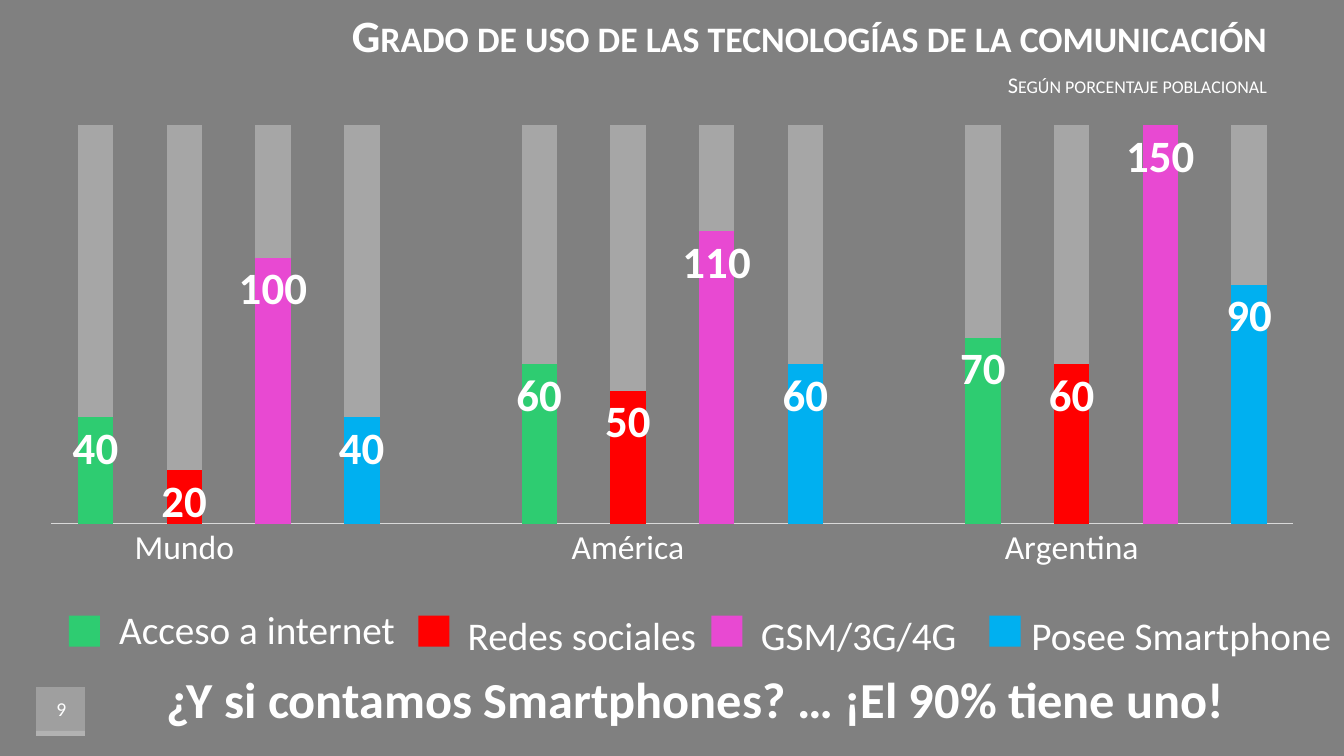
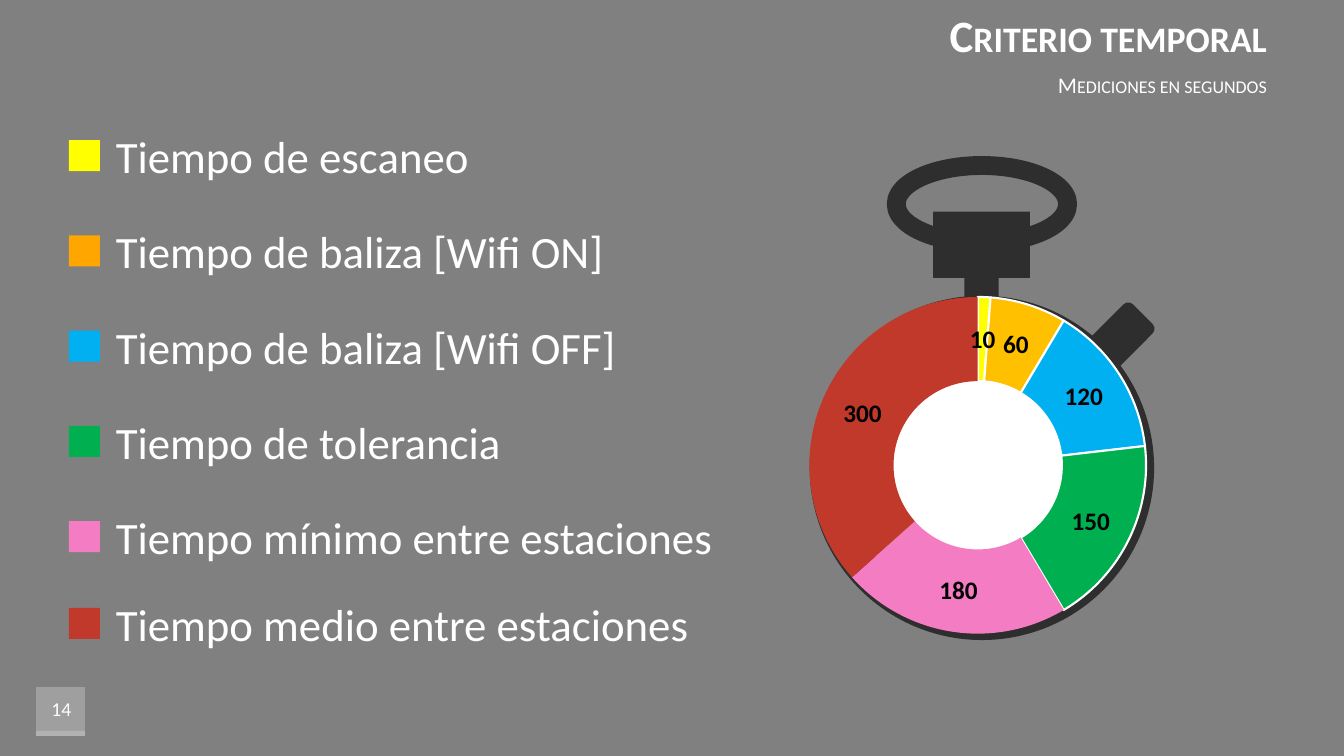
from dataclasses import dataclass

from lxml.etree import SubElement
from pptx import Presentation
from pptx.chart.data import CategoryChartData
from pptx.dml.color import RGBColor
from pptx.enum.chart import XL_CHART_TYPE, XL_LABEL_POSITION, XL_TICK_MARK
from pptx.enum.shapes import MSO_SHAPE
from pptx.enum.text import MSO_ANCHOR, PP_ALIGN
from pptx.oxml import parse_xml
from pptx.oxml.ns import nsdecls, qn
from pptx.util import Inches, Pt

# The grid has square cells: 160 columns by 90 rows
CELLS_PER_INCH = 12
COLUMNS, ROWS = 160, 90


@dataclass(frozen=True)
class Theme:
    font: str = "Calibri"
    background: str = "808080"
    light: str = "FFFFFF"
    black: str = "000000"
    watch: str = "2E2E2E"
    axis: str = "D9D9D9"
    remainder: str = "A6A6A6"
    emerald: str = "2ECC71"
    red: str = "FF0000"
    magenta: str = "E849D2"
    blue: str = "00B0F0"
    yellow: str = "FFFF00"
    amber: str = "FFC000"
    orange: str = "FFA600"
    green: str = "00B050"
    pink: str = "F47CC3"
    brick: str = "C0392B"
    title_size: int = 32
    subtitle_size: int = 16
    number_size: int = 14
    closing_size: int = 36
    large_size: int = 32
    legend_size: int = 28
    axis_size: int = 24
    ring_label_size: int = 18


def cells(count):
    return Inches(count / CELLS_PER_INCH)


def color(value):
    return RGBColor.from_string(value)


class Deck:
    def __init__(self, theme):
        self.theme = theme
        self.presentation = Presentation()
        self.presentation.slide_width = cells(COLUMNS)
        self.presentation.slide_height = cells(ROWS)
        self.slide = None

    def add_slide(self, title, subtitle, number):
        """Start a slide with the shared heading and number badge."""
        theme = self.theme
        self.slide = self.presentation.slides.add_slide(self.presentation.slide_layouts[6])
        fill = self.slide.background.fill
        fill.solid()
        fill.fore_color.rgb = color(theme.background)
        self.shape(4.3, 81.8, 5.8, 5.8, theme.light, opacity=25)
        self.shape(4.3, 87, 5.8, 0.6, theme.light, opacity=20)
        heading = {"align": PP_ALIGN.RIGHT, "anchor": MSO_ANCHOR.MIDDLE, "small_caps": True}
        self.text(title, 27.1, 0, 124.9, 8.2, size=theme.title_size, bold=True, **heading)
        self.text(subtitle, 27.1, 8.2, 124.9, 3.7, size=theme.subtitle_size, **heading)
        self.text(number, 3.5, 81.8, 7.6, 5.2, size=theme.number_size,
                  align=PP_ALIGN.CENTER, anchor=MSO_ANCHOR.MIDDLE)

    def text(self, content, left, top, width, height, *, size, bold=False,
             small_caps=False, align=PP_ALIGN.LEFT, anchor=MSO_ANCHOR.TOP, wrap=True):
        box = self.slide.shapes.add_textbox(cells(left), cells(top), cells(width), cells(height))
        frame = box.text_frame
        frame.word_wrap = wrap
        frame.vertical_anchor = anchor
        paragraph = frame.paragraphs[0]
        paragraph.alignment = align
        run = paragraph.add_run()
        run.text = content
        self.style_font(run.font, size, self.theme.light, bold)
        if small_caps:
            run._r.get_or_add_rPr().set("cap", "small")

    def style_font(self, font, size, font_color, bold=False):
        font.name = self.theme.font
        font.size = Pt(size)
        font.bold = bold
        font.color.rgb = color(font_color)

    def paint(self, shape, fill=None, line=None, line_width=1):
        shape.shadow.inherit = False
        if fill:
            shape.fill.solid()
            shape.fill.fore_color.rgb = color(fill)
        else:
            shape.fill.background()
        if line:
            shape.line.color.rgb = color(line)
            shape.line.width = Pt(line_width)
        else:
            shape.line.fill.background()

    def shape(self, left, top, width, height, fill=None, *, preset=MSO_SHAPE.RECTANGLE,
              line=None, line_width=1, rotation=0, opacity=100):
        shape = self.slide.shapes.add_shape(
            preset, cells(left), cells(top), cells(width), cells(height))
        self.paint(shape, fill, line, line_width)
        shape.rotation = rotation
        if opacity < 100:
            fill_color = shape._element.spPr.find(qn("a:solidFill"))[0]
            SubElement(fill_color, qn("a:alpha")).set("val", str(opacity * 1000))

    def outline(self, points, fill):
        (start_x, start_y), *others = [(cells(x), cells(y)) for x, y in points]
        builder = self.slide.shapes.build_freeform(start_x, start_y)
        builder.add_line_segments(others, close=True)
        self.paint(builder.convert_to_shape(), fill)

    def legend_entry(self, label, left, top, fill, *, size, gap, drop=0.0):
        """Place a square and a label centred on its height."""
        side, height = 3.7, 7.7
        self.shape(left, top, side, side, fill)
        self.text(label, left + gap, top + (side - height) / 2 + drop, 75, height,
                  size=size, anchor=MSO_ANCHOR.MIDDLE, wrap=False)

    def chart(self, kind, categories, series, left, top, width, height):
        data = CategoryChartData()
        data.categories = categories
        for name, values in series.items():
            data.add_series(name, values)
        chart = self.slide.shapes.add_chart(
            kind, cells(left), cells(top), cells(width), cells(height), data).chart
        chart.has_title = False
        chart.has_legend = False
        self.style_font(chart.font, 10, self.theme.black)
        return chart

    def value_labels(self, series, size, font_color):
        labels = series.data_labels
        labels.show_value = True
        self.style_font(labels.font, size, font_color, bold=True)
        return labels

    def point_fill(self, series, index, fill):
        point_format = series.points[index].format
        point_format.fill.solid()
        point_format.fill.fore_color.rgb = color(fill)
        return point_format

    def usage_columns(self, groups, fills, full, *box):
        """Draw groups of columns, each filled up to a shared full value."""
        theme = self.theme
        categories, used = [], []
        for name, values in groups.items():
            if used:
                categories.append("")
                used.append(None)
            categories += ["", name, "", ""]
            used += values
        rest = [None if value is None else full - value for value in used]
        chart = self.chart(XL_CHART_TYPE.COLUMN_STACKED_100, categories,
                           {"Series 1": used, "Series 2": rest}, *box)

        plot = chart.plots[0]
        plot.gap_width, plot.overlap = 150, 100
        plot.vary_by_categories = False
        for series, fill in zip(plot.series, (fills[0], theme.remainder)):
            series.format.fill.solid()
            series.format.fill.fore_color.rgb = color(fill)
        used_series = plot.series[0]
        for index, value in enumerate(used):
            if value is not None:
                self.point_fill(used_series, index, fills[index % (len(fills) + 1)])
        labels = self.value_labels(used_series, theme.large_size, theme.light)
        labels.position = XL_LABEL_POSITION.INSIDE_END

        # Axes
        chart.value_axis.has_major_gridlines = False
        chart.value_axis.visible = False
        axis = chart.category_axis
        axis.major_tick_mark = XL_TICK_MARK.NONE
        axis.format.line.color.rgb = color(theme.axis)
        axis.format.line.width = Pt(0.75)
        self.style_font(axis.tick_labels.font, theme.axis_size, theme.light)

        # Fixed inner plot area
        plot_area = chart._chartSpace.chart.plotArea
        for layout in plot_area.findall(qn("c:layout")):
            plot_area.remove(layout)
        places = {"x": 0.017, "y": 0.096, "w": 0.966, "h": 0.784}
        modes = "".join(f'<c:{key}Mode val="edge"/>' for key in "xy")
        sizes = "".join(f'<c:{key} val="{value}"/>' for key, value in places.items())
        plot_area.insert(0, parse_xml(
            f'<c:layout {nsdecls("c")}><c:manualLayout><c:layoutTarget val="inner"/>'
            f"{modes}{sizes}</c:manualLayout></c:layout>"))

    def time_ring(self, values, fills, outlined, *box):
        """Draw a doughnut whose first slices have a light outline."""
        theme = self.theme
        categories = [str(index + 1) for index in range(len(values))]
        chart = self.chart(XL_CHART_TYPE.DOUGHNUT, categories, {"Series 1": values}, *box)
        plot = chart.plots[0]
        plot.vary_by_categories = True
        series = plot.series[0]
        for index, fill in enumerate(fills):
            line = self.point_fill(series, index, fill).line
            if index < outlined:
                line.color.rgb = color(theme.light)
                line.width = Pt(1.5)
            else:
                line.fill.background()
        self.value_labels(series, theme.ring_label_size, theme.black)
        plot._element.find(qn("c:holeSize")).set("val", "54")

    def stopwatch(self):
        dark = self.theme.watch
        self.shape(96.4, 35.2, 41, 41, dark, preset=MSO_SHAPE.OVAL)
        self.shape(100.3, 39.1, 33, 33, self.theme.light, preset=MSO_SHAPE.OVAL)
        self.outline([(111.1, 25.2), (122.6, 25.2), (122.6, 33.1), (118.9, 33.1),
                      (118.9, 36.7), (114.8, 36.7), (114.8, 33.1), (111.1, 33.1)], dark)
        self.shape(106.7, 19.7, 20.4, 9.2, preset=MSO_SHAPE.OVAL, line=dark, line_width=13.5)
        self.shape(130.7, 36.2, 4.9, 8.2, dark, preset=MSO_SHAPE.ROUNDED_RECTANGLE, rotation=45)


def add_usage_slide(deck):
    theme = deck.theme
    deck.add_slide("Grado de uso de las tecnologías de la comunicación",
                   "Según porcentaje poblacional", "9")
    groups = {"Mundo": [40, 20, 100, 40],
              "América": [60, 50, 110, 60],
              "Argentina": [70, 60, 150, 90]}
    fills = [theme.emerald, theme.red, theme.magenta, theme.blue]
    deck.usage_columns(groups, fills, 150, 3.5, 9.1, 153.1, 60.5)

    # Legend and closing line
    entries = [("Acceso a internet", 8.2, 4.8, -0.3), ("Redes sociales", 49.8, 4.7, 0.4),
               ("GSM/3G/4G", 84.7, 4.7, 0.4), ("Posee Smartphone", 117.8, 3.8, 0.4)]
    for (label, left, gap, drop), fill in zip(entries, fills):
        deck.legend_entry(label, left, 73.3, fill, size=theme.legend_size, gap=gap, drop=drop)
    deck.text("¿Y si contamos Smartphones? … ¡El 90% tiene uno!", 18.6, 79, 131.4, 8.5,
              size=theme.closing_size, bold=True)


def add_timing_slide(deck):
    theme = deck.theme
    deck.add_slide("Criterio temporal", "Mediciones en segundos", "14")
    deck.stopwatch()
    deck.time_ring([10, 60, 120, 150, 180, 300],
                   [theme.yellow, theme.amber, theme.blue, theme.green, theme.pink, theme.brick],
                   4, 84.7, 33.7, 63.4, 43.4)

    # Legend: even rows, with the last one slightly closer
    entries = [("Tiempo de escaneo", theme.yellow),
               ("Tiempo de baliza [Wifi ON]", theme.orange),
               ("Tiempo de baliza [Wifi OFF]", theme.blue),
               ("Tiempo de tolerancia", theme.green),
               ("Tiempo mínimo entre estaciones", theme.pink),
               ("Tiempo medio entre estaciones", theme.brick)]
    tops = [16.68 + 11.34 * row for row in range(5)] + [72.36]
    for (label, fill), top in zip(entries, tops):
        deck.legend_entry(label, 8.2, top, fill, size=theme.large_size, gap=4.4)


def main():
    deck = Deck(Theme())
    add_usage_slide(deck)
    add_timing_slide(deck)
    deck.presentation.save("out.pptx")


if __name__ == "__main__":
    main()
